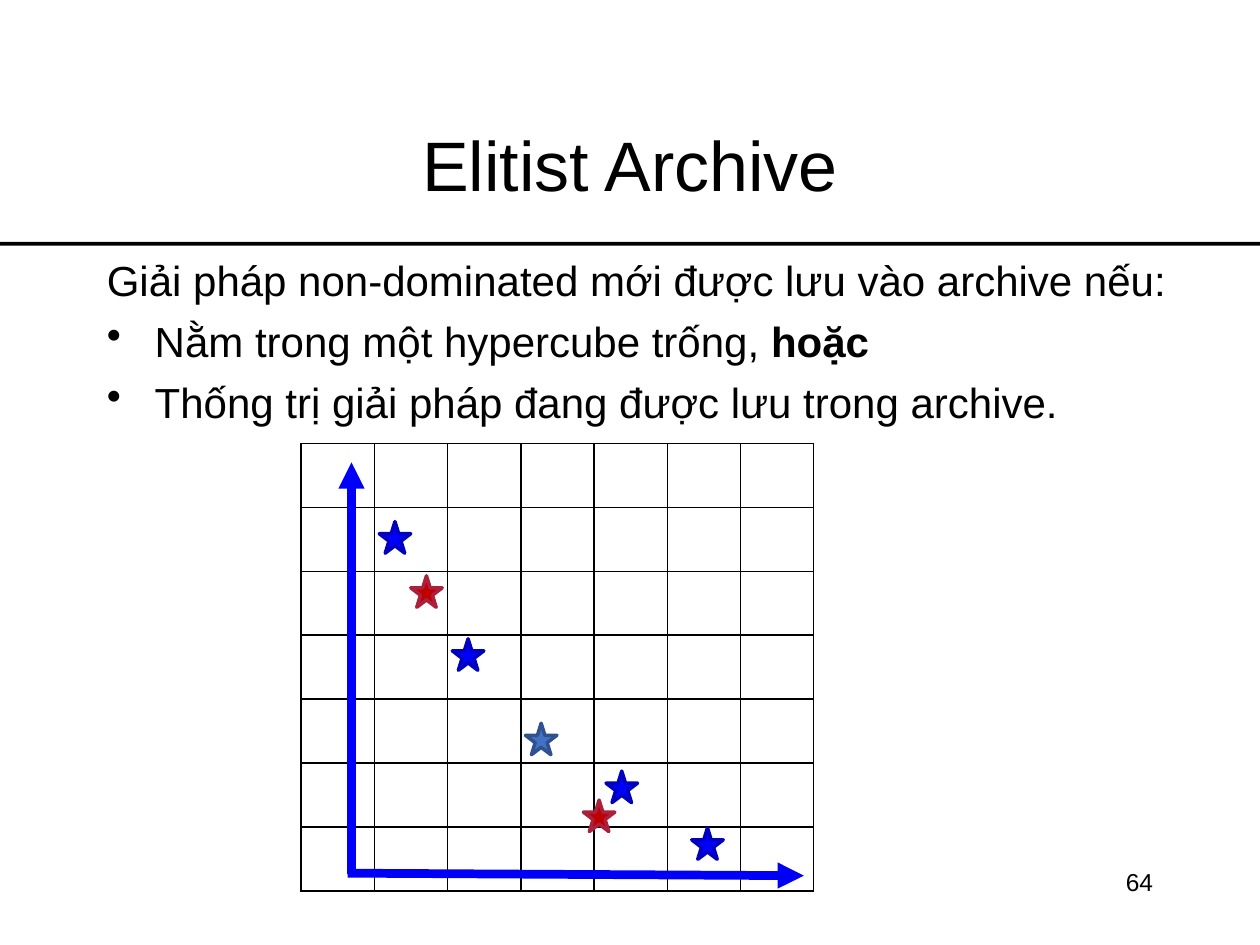
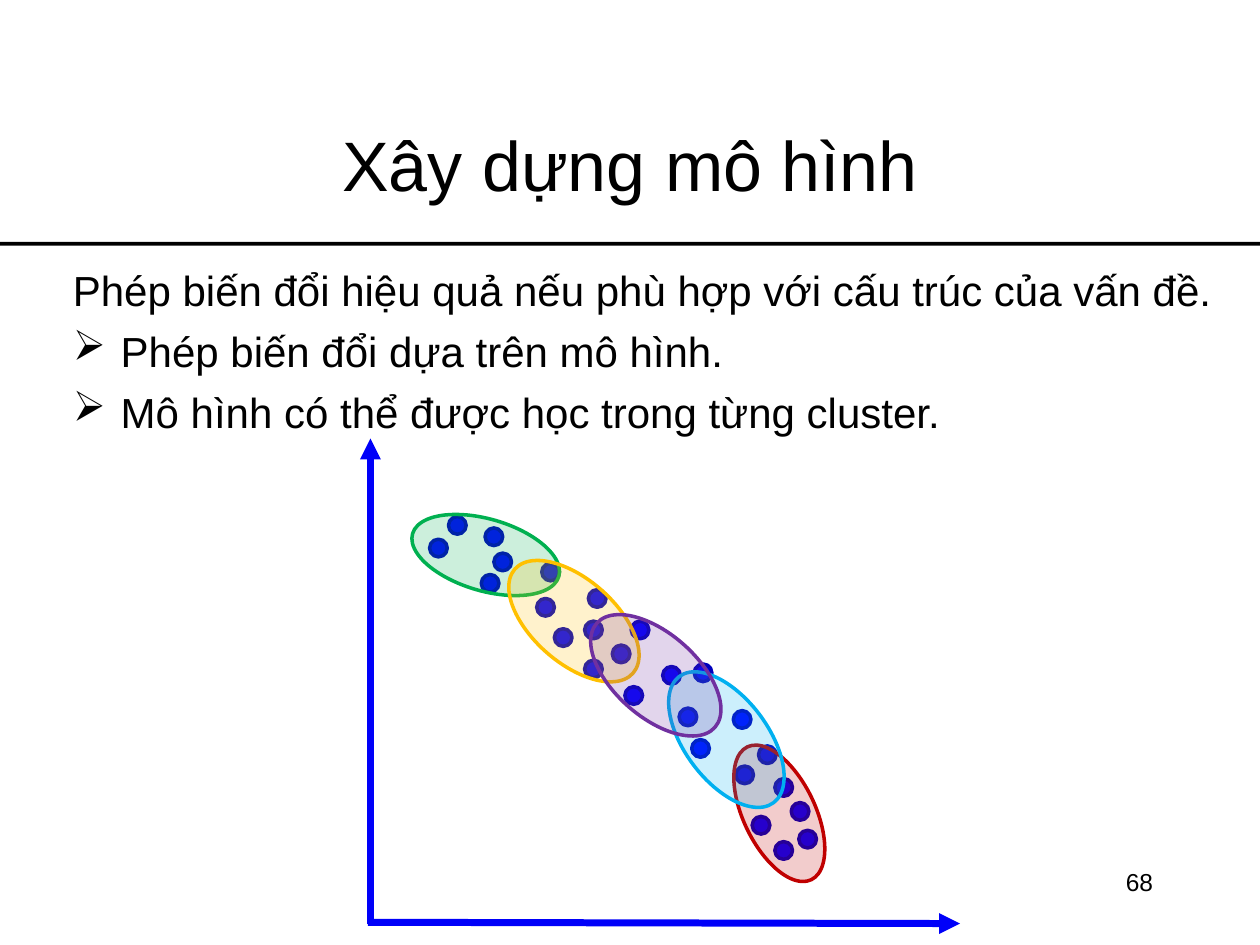
"""Build two slides on multi-objective search: an elitist archive and clustered models."""
from lxml.etree import SubElement
from pptx import Presentation
from pptx.dml.color import RGBColor
from pptx.enum.shapes import MSO_CONNECTOR as Connector, MSO_SHAPE as Shape
from pptx.enum.text import MSO_ANCHOR as Anchor, PP_ALIGN as Align
from pptx.oxml.ns import qn
from pptx.util import Inches, Pt

FONT = "Arial"
COLUMNS, ROWS = 100, 75
UNIT = Inches(10) // COLUMNS
COLORS = {
    "black": "000000", "axis": "0000F9",
    "blue": "0000FF", "blue edge": "0000BD",
    "steel": "4372C4", "steel edge": "2F528F",
    "red": "C00000", "red edge": "A9213D",
    "green": "00B050", "amber": "FFC000", "sky": "00B0F0", "purple": "7030A0",
}
STARS = [
    ("blue", [(30.1, 41.4), (35.9, 50.7), (54.9, 65.7), (48.1, 61.2)]),
    ("steel", [(41.7, 57.4)]),
    ("red", [(32.6, 45.7), (46.3, 63.5)]),
]
SOLUTIONS = [
    (35.6, 41), (38.2, 45.6), (34.1, 42.8), (38.5, 41.9), (62.8, 63.7), (39.2, 43.9),
    (46.4, 49.3), (44, 49.9), (46.4, 52.4), (42.6, 47.5), (43, 44.7), (48.6, 51.2),
    (49.6, 54.5), (53.9, 56.2), (54.9, 58.7), (58.4, 60.8), (61.5, 61.8), (63.4, 65.9),
    (61.5, 66.8), (52.6, 52.9), (50.1, 49.3), (55.1, 52.7), (58.2, 56.4), (59.7, 64.8),
    (60.2, 59.2), (46.7, 46.8),
]
CLUSTERS = [
    ("green", (32.5, 41.2, 12.1, 5.7), 16.3),
    ("red", (56, 61.7, 11.7, 5.7), 64.3),
    ("amber", (39.3, 46, 12.5, 6.6), 41.4),
    ("sky", (51.4, 55.4, 12.5, 6.6), 53.2),
    ("purple", (45.8, 50.3, 12.5, 6.6), 41.4),
]


def grid(*lengths):
    """Turn grid columns and rows into slide lengths."""
    return [round(length * UNIT) for length in lengths]


def color(name):
    """Look up a named colour."""
    return RGBColor.from_string(COLORS[name])


def add_text(slide, box, paragraphs, size, align=Align.LEFT, anchor=Anchor.TOP, bullet=None):
    """Add a text box of (text, bold ending) paragraphs, bulleted after the first."""
    frame = slide.shapes.add_textbox(*grid(*box)).text_frame
    frame.word_wrap = True
    frame.vertical_anchor = anchor
    for index, (text, bold_ending) in enumerate(paragraphs):
        paragraph = frame.add_paragraph() if index else frame.paragraphs[0]
        if index:
            indent = grid(3.8)[0]
            properties = paragraph._p.get_or_add_pPr()
            properties.set("marL", str(indent))
            properties.set("indent", str(-indent))
            SubElement(properties, qn("a:buChar"), char=bullet)
            paragraph.space_before = Pt(6)
        paragraph.alignment = align
        paragraph.font.name = FONT
        paragraph.font.size = Pt(size)
        paragraph.font.color.rgb = color("black")
        paragraph.add_run().text = text
        if bold_ending:
            ending = paragraph.add_run()
            ending.text = bold_ending
            ending.font.bold = True


def add_shape(slide, kind, box, fill, edge=None, opacity=None, rotation=0):
    """Add a filled shape with an optional outline, opacity and rotation."""
    shape = slide.shapes.add_shape(kind, *grid(*box))
    shape.shadow.inherit = False
    shape.rotation = rotation
    shape.fill.solid()
    shape.fill.fore_color.rgb = color(fill)
    if opacity:
        solid = shape._element.spPr.find(qn("a:solidFill"))
        SubElement(solid[0], qn("a:alpha"), val=str(opacity * 1000))
    if edge:
        shape.line.color.rgb = color(edge)
        shape.line.width = Pt(2)
    else:
        shape.line.fill.background()


def add_arrow(slide, start, end, width):
    """Add a straight axis arrow."""
    arrow = slide.shapes.add_connector(Connector.STRAIGHT, *grid(*start, *end))
    arrow.line.color.rgb = color("axis")
    arrow.line.width = Pt(width)
    SubElement(arrow.line._ln, qn("a:tailEnd"), type="triangle")
    SubElement(arrow._element.spPr, qn("a:effectLst"))


def add_hypercubes(slide, box, count):
    """Add an empty square table with thin black borders."""
    table = slide.shapes.add_table(count, count, *grid(*box)).table
    table.first_row = table.horz_banding = False
    for cell in table.iter_cells():
        properties = cell._tc.get_or_add_tcPr()
        for side in ("lnL", "lnR", "lnT", "lnB"):
            border = SubElement(properties, qn(f"a:{side}"), w=str(Pt(1)))
            solid = SubElement(border, qn("a:solidFill"))
            SubElement(solid, qn("a:srgbClr"), val=COLORS["black"])
        cell.fill.background()


def add_base(presentation, title, number):
    """Add a slide with its title, rule and page number."""
    slide = presentation.slides.add_slide(presentation.slide_layouts[6])
    add_shape(slide, Shape.RECTANGLE, (0, 19.2, COLUMNS, 0.3), "black")
    add_text(slide, (7.5, 6.7, 85, 12.5), [(title, "")], 40, Align.CENTER, Anchor.MIDDLE)
    add_text(slide, (71.7, 68.3, 20.8, 5), [(number, "")], 14, Align.RIGHT)
    return slide


def build_archive(presentation):
    """Build the archive slide with stars on a hypercube grid."""
    slide = add_base(presentation, "Elitist Archive", "64")
    add_text(slide, (7.5, 19.7, 88.6, 14.5), [
        ("Giải pháp non-dominated mới được lưu vào archive nếu:", ""),
        ("Nằm trong một hypercube trống, ", "hoặc"),
        ("Thống trị giải pháp đang được lưu trong archive.", ""),
    ], 24, bullet="•")
    add_hypercubes(slide, (23.9, 35.2, 40.7, 35.5), 7)
    add_arrow(slide, (27.9, 69.4), (27.9, 36.7), 5)
    add_arrow(slide, (27.6, 69.3), (63.8, 69.5), 5)
    for fill, corners in STARS:
        for corner in corners:
            add_shape(slide, Shape.STAR_5_POINT, (*corner, 2.5, 2.5), fill, f"{fill} edge")


def build_clusters(presentation):
    """Build the model slide with solutions grouped in tilted clusters."""
    slide = add_base(presentation, "Xây dựng mô hình", "68")
    add_text(slide, (4.8, 20.5, 93.2, 14.5), [
        ("Phép biến đổi hiệu quả nếu phù hợp với cấu trúc của vấn đề.", ""),
        ("Phép biến đổi dựa trên mô hình.", ""),
        ("Mô hình có thể được học trong từng cluster.", ""),
    ], 24, bullet="➢")
    add_arrow(slide, (29.4, 73.3), (29.4, 34.8), 4)
    add_arrow(slide, (29.2, 73.2), (76.2, 73.3), 4)
    for corner in SOLUTIONS:
        add_shape(slide, Shape.OVAL, (*corner, 1.4, 1.4), "blue", "blue edge")
    for fill, box, rotation in CLUSTERS:
        add_shape(slide, Shape.OVAL, box, fill, fill, opacity=20, rotation=rotation)


def main():
    """Create and save the presentation."""
    presentation = Presentation()
    presentation.slide_width, presentation.slide_height = grid(COLUMNS, ROWS)
    build_archive(presentation)
    build_clusters(presentation)
    presentation.save("out.pptx")


if __name__ == "__main__":
    main()
